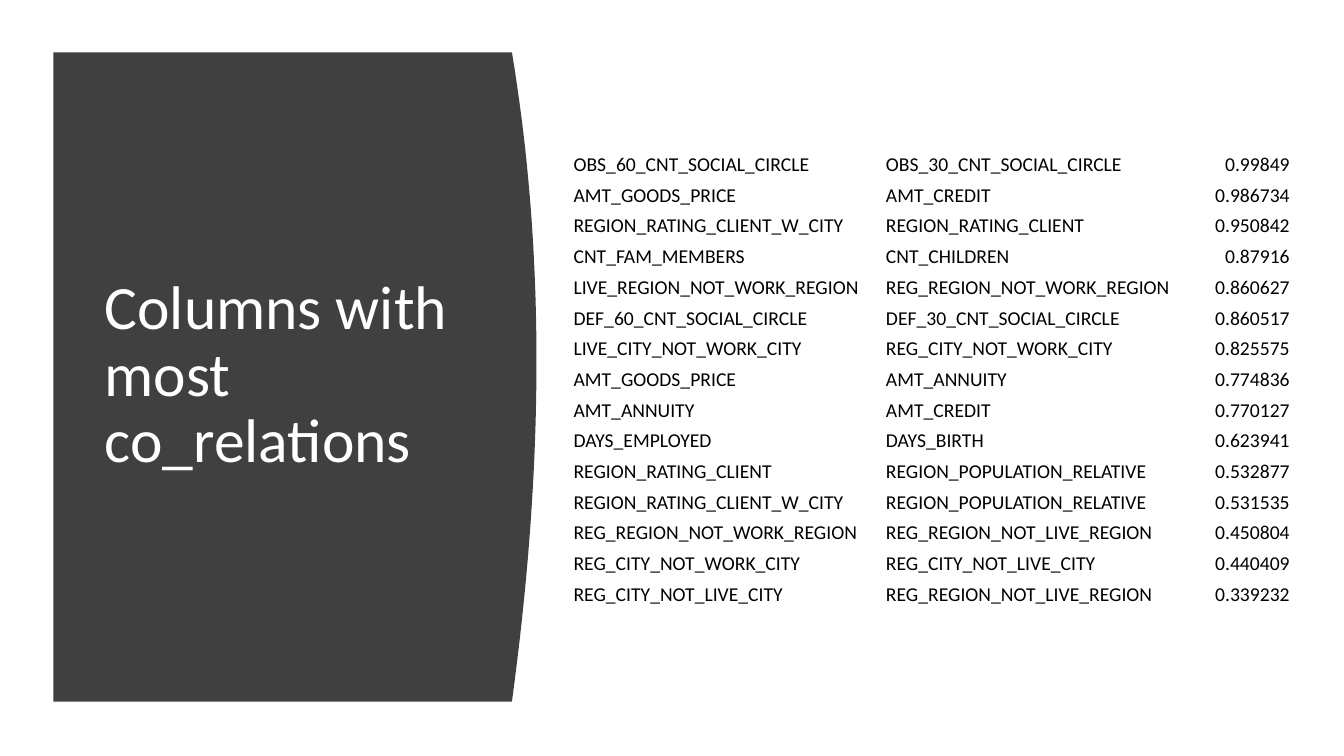
from dataclasses import dataclass
from typing import NamedTuple

from pptx import Presentation
from pptx.dml.color import RGBColor
from pptx.enum.text import MSO_ANCHOR, PP_ALIGN
from pptx.util import Pt

MIDDLE, BOTTOM = MSO_ANCHOR.MIDDLE, MSO_ANCHOR.BOTTOM
LEFT, RIGHT = PP_ALIGN.LEFT, PP_ALIGN.RIGHT
BLANK_LAYOUT = 6


class Box(NamedTuple):
    """A region of the page, in points."""
    left: float
    top: float
    width: float
    height: float


@dataclass(frozen=True)
class Theme:
    """Font, type sizes and colours of the deck."""
    font: str = "Calibri"
    title_size: float = 44
    cell_size: float = 14
    panel: RGBColor = RGBColor(0x40, 0x40, 0x40)
    title: RGBColor = RGBColor(0xFF, 0xFF, 0xFF)
    cell: RGBColor = RGBColor(0, 0, 0)


THEME = Theme()
PAGE_WIDTH, PAGE_HEIGHT = 960, 540
PANEL_BOX = Box(38.2, 37.4, 345, 463.8)
TABLE_BOX = Box(409, 104.4, 513, 329.1)
COLUMN_SHARES = (0.435, 0.433, 0.132)
TITLE = "Columns with most co_relations"
CORRELATIONS = (
    ("OBS_60_CNT_SOCIAL_CIRCLE", "OBS_30_CNT_SOCIAL_CIRCLE", "0.99849"),
    ("AMT_GOODS_PRICE", "AMT_CREDIT", "0.986734"),
    ("REGION_RATING_CLIENT_W_CITY", "REGION_RATING_CLIENT", "0.950842"),
    ("CNT_FAM_MEMBERS", "CNT_CHILDREN", "0.87916"),
    ("LIVE_REGION_NOT_WORK_REGION", "REG_REGION_NOT_WORK_REGION", "0.860627"),
    ("DEF_60_CNT_SOCIAL_CIRCLE", "DEF_30_CNT_SOCIAL_CIRCLE", "0.860517"),
    ("LIVE_CITY_NOT_WORK_CITY", "REG_CITY_NOT_WORK_CITY", "0.825575"),
    ("AMT_GOODS_PRICE", "AMT_ANNUITY", "0.774836"),
    ("AMT_ANNUITY", "AMT_CREDIT", "0.770127"),
    ("DAYS_EMPLOYED", "DAYS_BIRTH", "0.623941"),
    ("REGION_RATING_CLIENT", "REGION_POPULATION_RELATIVE", "0.532877"),
    ("REGION_RATING_CLIENT_W_CITY", "REGION_POPULATION_RELATIVE", "0.531535"),
    ("REG_REGION_NOT_WORK_REGION", "REG_REGION_NOT_LIVE_REGION", "0.450804"),
    ("REG_CITY_NOT_WORK_CITY", "REG_CITY_NOT_LIVE_CITY", "0.440409"),
    ("REG_CITY_NOT_LIVE_CITY", "REG_REGION_NOT_LIVE_REGION", "0.339232"),
)


def style_text(para, size, color):
    """Apply the theme font with a size and colour to every run."""
    for span in para.runs:
        span.font.name = THEME.font
        span.font.size = Pt(size)
        span.font.color.rgb = color


def add_panel(page, box, bulge=17.5, steps=40):
    """Draw the dark panel whose right edge bows outwards."""
    straight = box.left + box.width - bulge
    edge = []
    for step in range(steps + 1):
        share = step / steps
        bow = 4 * share * (1 - share) * (1 + 0.1 * (1 - 2 * share))
        edge.append((Pt(straight + bulge * bow), Pt(box.top + box.height * share)))
    builder = page.shapes.build_freeform(Pt(box.left), Pt(box.top))
    builder.add_line_segments(edge + [(Pt(box.left), Pt(box.top + box.height))])
    panel = builder.convert_to_shape()
    panel.shadow.inherit = False
    panel.fill.solid()
    panel.fill.fore_color.rgb = THEME.panel
    panel.line.fill.background()


def add_title(page, box):
    """Place the title centred vertically inside the panel."""
    title = page.shapes.add_textbox(
        Pt(box.left + 29.5), Pt(box.top + 42.6), Pt(box.width - 76), Pt(box.height - 86.5))
    frame = title.text_frame
    frame.word_wrap = True
    frame.vertical_anchor = MIDDLE
    frame.text = TITLE
    para = frame.paragraphs[0]
    para.line_spacing = 0.9
    style_text(para, THEME.title_size, THEME.title)


def fill_cell(cell, text, alignment):
    """Write one unfilled cell with its text on the bottom edge."""
    cell.fill.background()
    cell.margin_left = cell.margin_right = cell.margin_top = Pt(0.7)
    cell.margin_bottom = 0
    cell.vertical_anchor = BOTTOM
    cell.text_frame.text = text
    para = cell.text_frame.paragraphs[0]
    para.alignment = alignment
    style_text(para, THEME.cell_size, THEME.cell)


def add_correlation_table(page, box):
    """List the column pairs with their correlations."""
    table = page.shapes.add_table(
        len(CORRELATIONS), len(COLUMN_SHARES), *(Pt(length) for length in box)).table
    table.first_row = table.horz_banding = False
    for column, share in zip(table.columns, COLUMN_SHARES):
        column.width = Pt(box.width * share)
    for row, values in zip(table.rows, CORRELATIONS):
        row.height = Pt(box.height / len(CORRELATIONS))
        for cell, text, alignment in zip(row.cells, values, (LEFT, LEFT, RIGHT)):
            fill_cell(cell, text, alignment)


def main():
    """Build the deck and save it."""
    deck = Presentation()
    deck.slide_width, deck.slide_height = Pt(PAGE_WIDTH), Pt(PAGE_HEIGHT)
    page = deck.slides.add_slide(deck.slide_layouts[BLANK_LAYOUT])
    add_panel(page, PANEL_BOX)
    add_title(page, PANEL_BOX)
    add_correlation_table(page, TABLE_BOX)
    deck.save("out.pptx")


if __name__ == "__main__":
    main()
